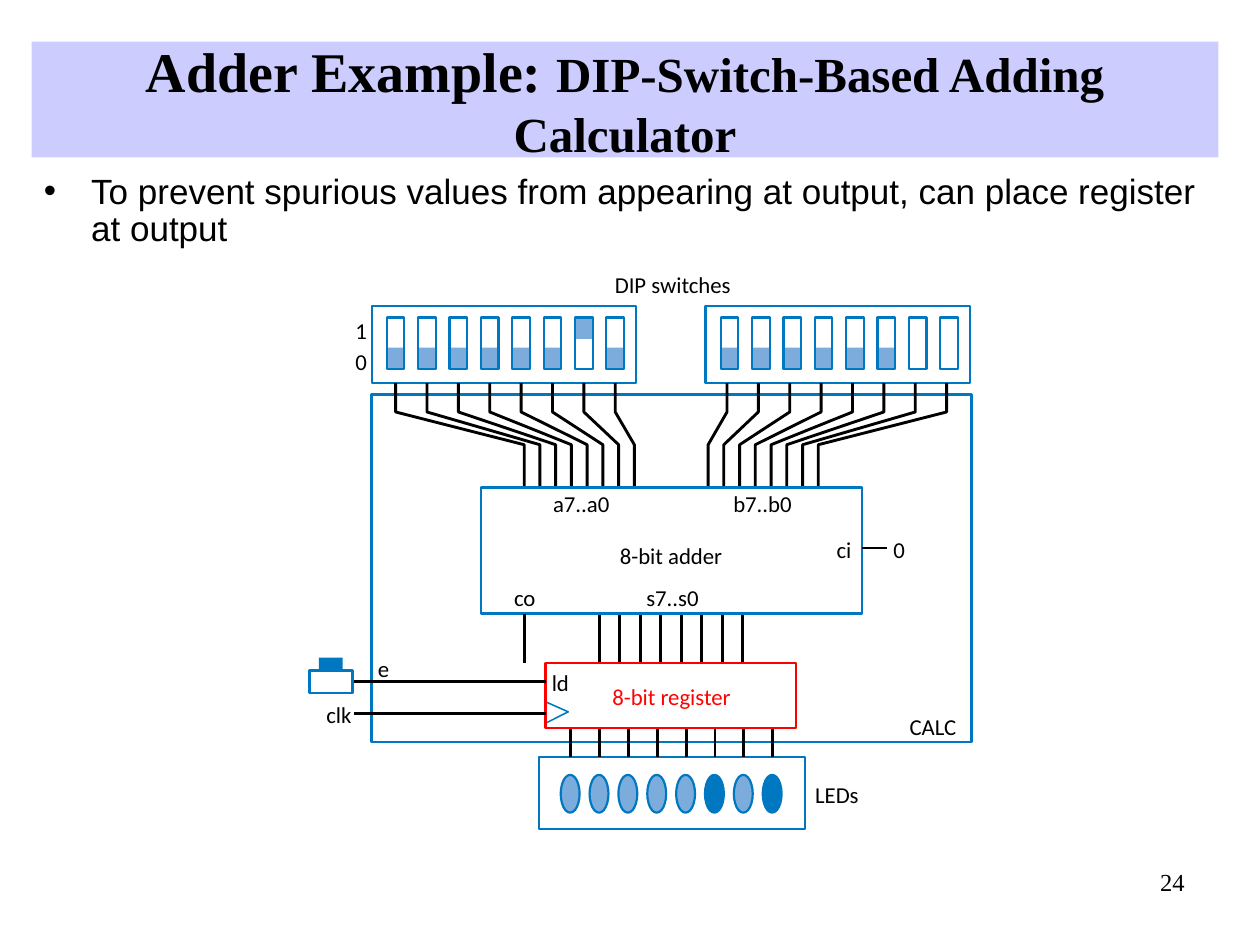
from lxml import etree
from pptx import Presentation, util as u
from pptx.dml.color import RGBColor
from pptx.enum import shapes, text
from pptx.oxml.ns import qn

W, H = 10, 7.5
BLACK, BLUE, LIGHT, RED, LILAC = "000000", "0078C1", "7BACDC", "FF0000", "CCCCFF"
RECT, OVAL = shapes.MSO_SHAPE.RECTANGLE, shapes.MSO_SHAPE.OVAL
BITS = 8
WIRE = 1.63  # wire width in points

# Column grids: left edge and pitch
SWITCH_PITCH, SWITCH_Y, SWITCH_W, SWITCH_H, KNOB_H = 0.249, 2.52, 0.14, 0.41, 0.17
PIN_PITCH = 0.125
SUM_X, SUM_PITCH = 4.755, 0.163
LED_X, LED_PITCH = 4.53, 0.229


def color(hex_code):
    return RGBColor.from_string(hex_code)


def paint(s, fill=None, line=None, width=1.25):
    s.shadow.inherit = False
    if fill:
        s.fill.solid()
        s.fill.fore_color.rgb = color(fill)
    else:
        s.fill.background()
    if line:
        s.line.color.rgb = color(line)
        s.line.width = u.Pt(width)
    else:
        s.line.fill.background()
    return s


def add_box(sp, x, y, w, h, kind=RECT, **style):
    s = sp.add_shape(kind, *map(u.Inches, (x, y, w, h)))
    return paint(s, **style)


def add_wire(sp, x1, y1, x2, y2):
    s = sp.add_connector(shapes.MSO_CONNECTOR.STRAIGHT, *map(u.Inches, (x1, y1, x2, y2)))
    s.line.color.rgb = color(BLACK)
    s.line.width = u.Pt(WIRE)
    etree.SubElement(s._element.spPr, qn("a:effectLst"))


def add_path(sp, points, line=BLACK, width=WIRE):
    start, *rest = [(u.Inches(x), u.Inches(y)) for x, y in points]
    builder = sp.build_freeform(*start)
    builder.add_line_segments(rest, close=False)
    paint(builder.convert_to_shape(), line=line, width=width)


def add_run(p, words, hex_code=BLACK, **font):
    r = p.add_run()
    r.text = words
    r.font.color.rgb = color(hex_code)
    for name, value in font.items():
        setattr(r.font, name, value)


def add_text_box(sp, x, y, w, h, **frame):
    tf = sp.add_textbox(*map(u.Inches, (x, y, w, h))).text_frame
    for name, value in frame.items():
        setattr(tf, name, value)
    return tf.paragraphs[0]


def add_label(sp, words, x, y, w, hex_code=BLACK):
    p = add_text_box(sp, x, y, w, 0.22, word_wrap=False, margin_left=0,
                     margin_right=0, margin_top=0, margin_bottom=0)
    add_run(p, words, hex_code, name="Calibri", size=u.Pt(13))


def add_heading(sp):
    tf = add_box(sp, 0.25, 0.33, 9.42, 0.92, fill=LILAC).text_frame
    tf.word_wrap = True
    tf.vertical_anchor = text.MSO_ANCHOR.MIDDLE
    p = tf.paragraphs[0]
    p.alignment = text.PP_ALIGN.CENTER
    for words, size in (("Adder Example: ", 32), ("DIP-Switch-Based Adding Calculator", 28)):
        add_run(p, words, name="Times New Roman", size=u.Pt(size), bold=True)


def add_bullet(sp):
    p = add_text_box(sp, 0.25, 1.33, 9.42, 0.85, word_wrap=True)
    p.line_spacing = 0.9
    p.space_before = u.Pt(4)
    add_run(p, "To prevent spurious values from appearing at output, "
               "can place register at output", name="Arial", size=u.Pt(20))
    pPr = p._p.get_or_add_pPr()
    indent = u.Inches(0.375)
    pPr.set("marL", str(indent))
    pPr.set("indent", str(-indent))
    etree.SubElement(pPr, qn("a:buFont")).set("typeface", "Arial")
    etree.SubElement(pPr, qn("a:buChar")).set("char", "•")


def add_page_number(sp):
    p = add_text_box(sp, 7.42, 6.83, 2.08, 0.5, word_wrap=True)
    p.alignment = text.PP_ALIGN.RIGHT
    add_run(p, "24", name="Times New Roman", size=u.Pt(14))


def add_switch_bank(sp, bank_x, first_x, knobs):
    """Knobs are given one letter per switch: u(p), d(own) or - for none."""
    add_box(sp, bank_x, 2.43, 2.1, 0.61, line=BLUE)
    for i, knob in enumerate(knobs):
        x = first_x + i * SWITCH_PITCH
        if knob != "-":
            y = SWITCH_Y if knob == "u" else SWITCH_Y + SWITCH_H - KNOB_H
            add_box(sp, x, y, SWITCH_W, KNOB_H, fill=LIGHT)
        add_box(sp, x, SWITCH_Y, SWITCH_W, SWITCH_H, line=BLUE)


def add_bus(sp, switch_x, pin_x):
    for i in range(BITS):
        top, pin = switch_x + i * SWITCH_PITCH, pin_x + i * PIN_PITCH
        add_path(sp, [(top, 3.04), (top, 3.27), (pin, 3.53), (pin, 3.87)])


def add_leds(sp, lit):
    add_box(sp, 4.28, 6.01, 2.11, 0.57, line=BLUE)
    for i in range(BITS):
        x = LED_X + i * LED_PITCH
        add_wire(sp, x, 5.78, x, 6.01)
        add_box(sp, x - 0.08, 6.15, 0.15, 0.3, OVAL,
                fill=BLUE if i in lit else LIGHT, line=BLUE)


def main():
    prs = Presentation()
    prs.slide_width, prs.slide_height = u.Inches(W), u.Inches(H)
    sp = prs.slides.add_slide(prs.slide_layouts[6]).shapes

    # Slide text
    add_page_number(sp)
    add_heading(sp)
    add_bullet(sp)

    # Calculator outline, switches and their buses
    add_box(sp, 2.95, 3.13, 4.76, 2.76, line=BLUE, width=WIRE)
    add_switch_bank(sp, 2.95, 3.07, "ddddddud")
    add_switch_bank(sp, 5.6, 5.72, "dddddd--")
    add_bus(sp, 3.14, 4.16)
    add_bus(sp, 5.77, 5.62)

    # Adder with carry and sum wires
    add_box(sp, 3.82, 3.87, 3.02, 1, line=BLUE)
    add_wire(sp, 6.84, 4.35, 7.04, 4.35)
    add_wire(sp, 4.16, 4.87, 4.16, 5.26)
    for i in range(BITS):
        x = SUM_X + i * SUM_PITCH
        add_wire(sp, x, 4.88, x, 5.26)

    # Register with load and clock inputs, LEDs below
    add_leds(sp, lit=(5, 7))
    add_path(sp, [(4.33, 5.74), (4.51, 5.65), (4.33, 5.57)], BLUE, 0.88)
    add_box(sp, 4.33, 5.26, 1.99, 0.52, line=RED)
    for y in (5.41, 5.66):
        add_wire(sp, 4.33, y, 2.81, y)

    # Push button
    add_box(sp, 2.46, 5.32, 0.34, 0.18, line=BLUE, width=WIRE)
    add_box(sp, 2.53, 5.22, 0.19, 0.1, fill=BLUE)

    # Labels
    for label in (
        ("DIP switches", 4.88, 2.15, 1.04), ("1", 2.82, 2.51, 0.1), ("0", 2.82, 2.76, 0.1),
        ("a7..a0", 4.39, 3.89, 0.5), ("b7..b0", 5.82, 3.89, 0.5),
        ("8-bit adder", 4.92, 4.3, 0.87), ("ci", 6.64, 4.25, 0.13), ("0", 7.09, 4.25, 0.1),
        ("co", 4.08, 4.63, 0.18), ("s7..s0", 5.13, 4.63, 0.48),
        ("e", 3, 5.2, 0.1), ("clk", 2.59, 5.56, 0.22), ("ld", 4.38, 5.31, 0.14),
        ("8-bit register", 4.86, 5.42, 1.01, RED),
        ("CALC", 7.22, 5.66, 0.4), ("LEDs", 6.47, 6.2, 0.44),
    ):
        add_label(sp, *label)

    prs.save("out.pptx")


if __name__ == "__main__":
    main()
